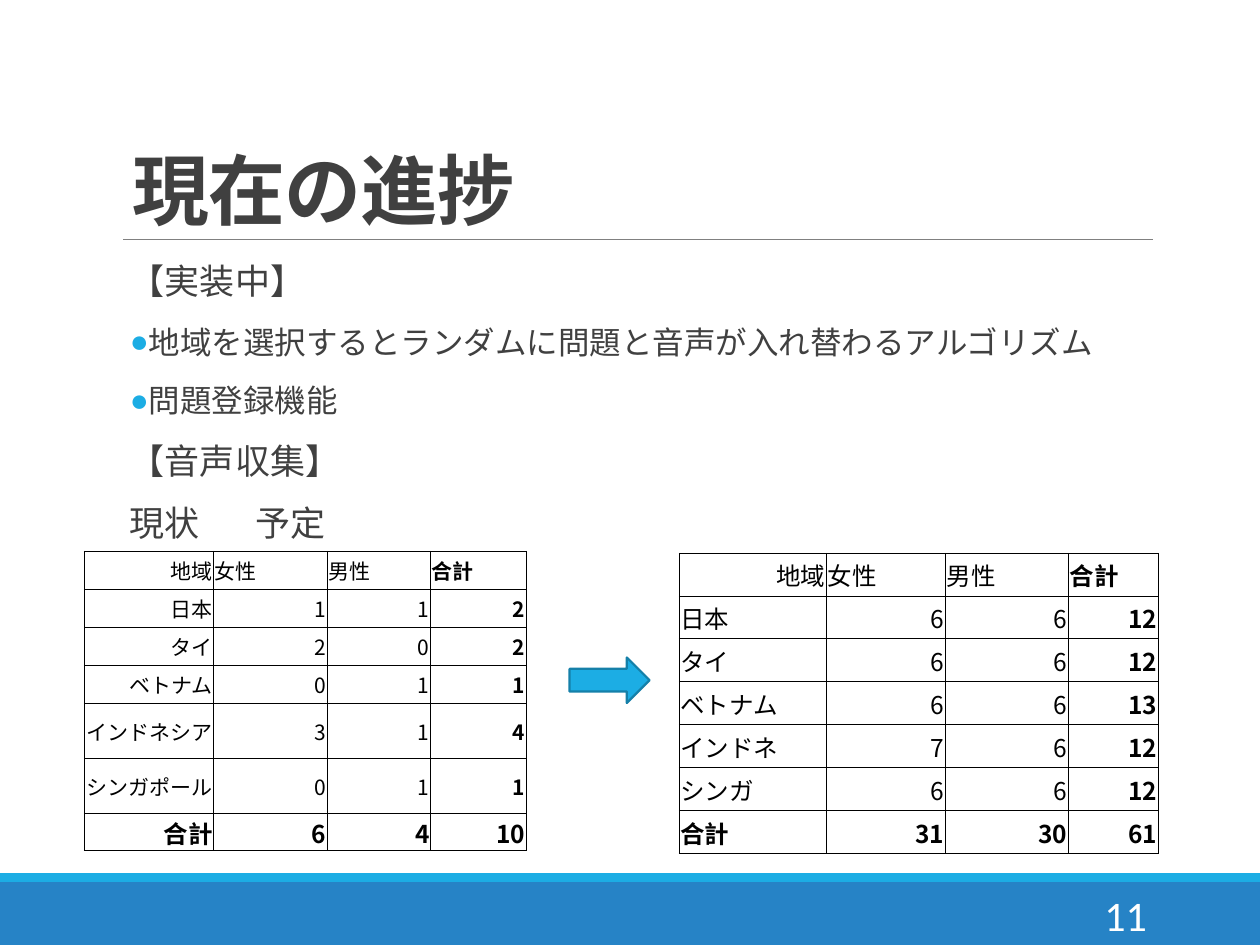
from dataclasses import dataclass

from lxml import etree
from pptx import Presentation
from pptx import util as u
from pptx.dml.color import RGBColor
from pptx.enum import shapes, text
from pptx.oxml import ns

Pt = u.Pt
LEFT, RIGHT = text.PP_ALIGN.LEFT, text.PP_ALIGN.RIGHT


@dataclass(frozen=True)
class Theme:
    ink: str = "404040"
    black: str = "000000"
    white: str = "FFFFFF"
    rule: str = "808080"
    band: str = "2683C6"
    accent: str = "1CADE4"
    accent_edge: str = "1580A9"
    latin: str = "Calibri"
    cjk: str = "Noto Sans CJK JP"
    title: int = 44
    number: int = 24
    heading: int = 20
    bullet: int = 18
    cell: int = 14
    small_cell: int = 12


T = Theme()


def rgb(value):
    return RGBColor.from_string(value)


def add_xml(parent, tag, **attrs):
    return etree.SubElement(parent, ns.qn(tag), attrs)


def format_runs(p, size, color, font=T.latin, bold=False):
    for r in p.runs:
        r.font.size, r.font.bold, r.font.name = Pt(size), bold, font
        r.font.color.rgb = rgb(color)
        add_xml(r.font._element, "a:ea", typeface=T.cjk)


def place(sp, left, top, width, height):
    sp.left, sp.top, sp.width, sp.height = map(Pt, (left, top, width, height))


def add_block(s, kind, box, fill, edge=None):
    sp = s.shapes.add_shape(kind, *map(Pt, box))
    sp.shadow.inherit = False
    sp.fill.solid()
    sp.fill.fore_color.rgb = rgb(fill)
    if edge:
        sp.line.color.rgb, sp.line.width = rgb(edge), Pt(1.25)
    else:
        sp.line.fill.background()


def add_rule(s, x1, x2, y):
    line = s.shapes.add_connector(
        shapes.MSO_CONNECTOR.STRAIGHT, Pt(x1), Pt(y), Pt(x2), Pt(y))
    line.line.color.rgb, line.line.width = rgb(T.rule), Pt(0.5)
    add_xml(line._element.spPr, "a:effectLst")


def set_title(sp, title):
    place(sp, 68.4, 51.1, 594, 87.1)
    tf = sp.text_frame
    tf.text = title
    tf.auto_size = text.MSO_AUTO_SIZE.NONE
    tf.vertical_anchor = text.MSO_ANCHOR.BOTTOM
    p = tf.paragraphs[0]
    p.alignment, p.line_spacing = LEFT, 0.85
    format_runs(p, T.title, T.ink, bold=True)
    p.runs[0].font._element.set("spc", "-50")


def set_body(sp, items):
    """Fill the body with (text, bulleted) items; tabs reach the right table."""
    place(sp, 74.2, 147.6, 594, 169.2)
    tf = sp.text_frame
    tf.auto_size = text.MSO_AUTO_SIZE.NONE
    tf.vertical_anchor = text.MSO_ANCHOR.TOP
    tf.margin_left = tf.margin_right = 0
    for i, (words, bulleted) in enumerate(items):
        p = tf.add_paragraph() if i else tf.paragraphs[0]
        p.text = words
        pPr = p._p.get_or_add_pPr()
        indent = Pt(7.2) if bulleted else 0
        pPr.set("marL", str(indent))
        pPr.set("indent", str(-indent))
        if bulleted:
            add_xml(add_xml(pPr, "a:buClr"), "a:srgbClr", val=T.accent)
            add_xml(pPr, "a:buChar", char="●")
        else:
            add_xml(pPr, "a:buNone")
        if "\t" in words:
            add_xml(add_xml(pPr, "a:tabLst"), "a:tab",
                    pos=str(Pt(360.5)), algn="l")
        p.line_spacing = 0.9
        p.space_before, p.space_after = Pt(12 if i else 0), Pt(2)
        format_runs(p, T.bullet if bulleted else T.heading, T.ink)


def add_page_number(s, number):
    tf = s.shapes.add_textbox(*map(Pt, (584.6, 508.3, 77.8, 28.8))).text_frame
    tf.word_wrap = True
    tf.vertical_anchor = text.MSO_ANCHOR.MIDDLE
    tf.text = number
    tf.paragraphs[0].alignment = RIGHT
    format_runs(tf.paragraphs[0], T.number, T.white)


def format_cell(cell, words, size, align, bold):
    cell.text = words
    cell.margin_left = cell.margin_right = cell.margin_top = Pt(0.7)
    cell.margin_bottom = 0
    cell.vertical_anchor = text.MSO_ANCHOR.MIDDLE
    tcPr = cell._tc.get_or_add_tcPr()
    for side in "LRTB":
        ln = add_xml(tcPr, f"a:ln{side}", w=str(Pt(0.5)))
        add_xml(add_xml(ln, "a:solidFill"), "a:srgbClr", val=T.black)
    cell.fill.background()
    p = cell.text_frame.paragraphs[0]
    p.alignment = align
    format_runs(p, size, T.black, T.cjk, bold)


def add_count_table(s, left, top, widths, heights, rows, size, label_align):
    """Counts by region; the last row and column hold bold totals."""
    table = s.shapes.add_table(
        len(rows), len(widths), Pt(left), Pt(top),
        Pt(sum(widths)), Pt(sum(heights))).table
    table.first_row = table.horz_banding = False
    for col, width in zip(table.columns, widths):
        col.width = Pt(width)
    last_row, last_col = len(rows) - 1, len(widths) - 1
    for i, row in enumerate(rows):
        table.rows[i].height = Pt(heights[i])
        for j, value in enumerate(row):
            if i == 0:
                align = LEFT if j else RIGHT
            else:
                align = RIGHT if j else label_align
            format_cell(table.cell(i, j), str(value),
                        T.cell if i == last_row else size, align,
                        i == last_row or j == last_col)


def main():
    prs = Presentation()
    prs.slide_width, prs.slide_height = Pt(720), Pt(540)
    s = prs.slides.add_slide(prs.slide_layouts[1])

    # Footer bands and title rule
    rect = shapes.MSO_SHAPE.RECTANGLE
    add_block(s, rect, (0, 504, 720, 36), T.band)
    add_block(s, rect, (0, 499, 720, 5), T.accent)
    add_rule(s, 70.5, 658.8, 136.8)

    # Title, list and page number
    set_title(s.shapes.title, "現在の進捗")
    set_body(s.placeholders[1], [
        ("【実装中】", False),
        ("地域を選択するとランダムに問題と音声が入れ替わるアルゴリズム", True),
        ("問題登録機能", True),
        ("【音声収集】", False),
        ("現状\t予定", False),
    ])
    add_page_number(s, "11")

    # Current and planned recordings
    header = ("地域", "女性", "男性", "合計")
    add_count_table(
        s, 48.2, 315, (74, 65, 59, 54.7),
        (21.7, 21.7, 21.7, 21.7, 31.4, 31.4, 21.7),
        [header, ("日本", 1, 1, 2), ("タイ", 2, 0, 2), ("ベトナム", 0, 1, 1),
         ("インドネシア", 3, 1, 4), ("シンガポール", 0, 1, 1),
         ("合計", 6, 4, 10)],
        T.small_cell, RIGHT)
    add_count_table(
        s, 388.1, 316.1, (84.2, 67.9, 70.3, 51.6), [24.5] * 7,
        [header, ("日本", 6, 6, 12), ("タイ", 6, 6, 12), ("ベトナム", 6, 6, 13),
         ("インドネ", 7, 6, 12), ("シンガ", 6, 6, 12), ("合計", 31, 30, 61)],
        T.cell, LEFT)

    # Arrow from current to planned
    add_block(s, shapes.MSO_SHAPE.RIGHT_ARROW, (325.5, 375.7, 45.7, 26),
              T.accent, T.accent_edge)

    prs.save("out.pptx")


if __name__ == "__main__":
    main()
